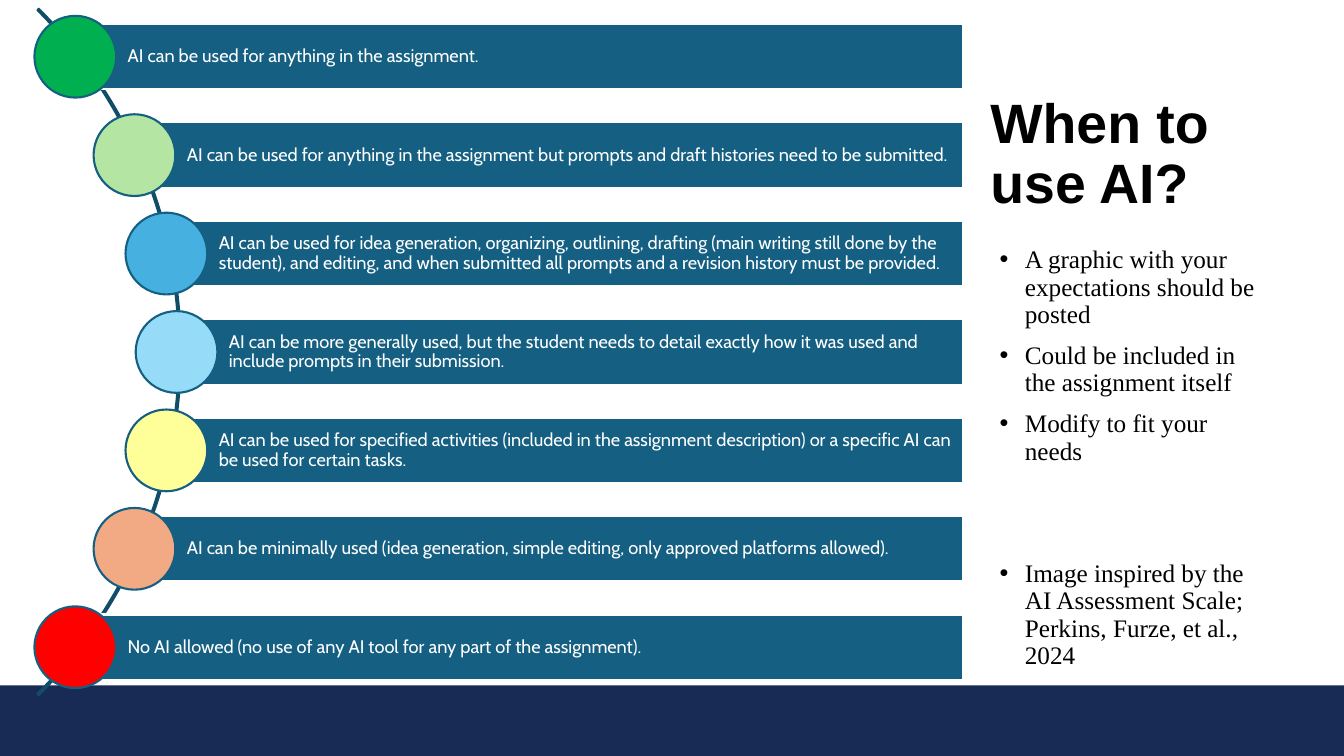
from math import sqrt

from pptx import Presentation
from pptx.dml.color import RGBColor
from pptx.enum.shapes import MSO_SHAPE
from pptx.enum.text import MSO_ANCHOR, PP_ALIGN
from pptx.oxml.ns import qn
from pptx.util import Cm, Pt
from lxml.etree import SubElement

BAR_BLUE = "156082"
ARC_X, ARC_Y = -7.67, 8.87  # centre of the arc, in cm
ARC_RADIUS = 12.23
DOT_RADIUS_ON_ARC = 12.12
PITCH = 2.48
BAR_RIGHT, BAR_HEIGHT, DOT_SIZE = 24.28, 1.65, 2.06

LEVELS = [
    ("00B050", "AI can be used for anything in the assignment."),
    ("B4E5A2", "AI can be used for anything in the assignment but prompts and "
               "draft histories need to be submitted."),
    ("46B1E1", "AI can be used for idea generation, organizing, outlining, "
               "drafting (main writing still done by the student), and editing, "
               "and when submitted all prompts and a revision history must be "
               "provided."),
    ("96DCF8", "AI can be more generally used, but the student needs to detail "
               "exactly how it was used and include prompts in their submission."),
    ("FFFF99", "AI can be used for specified activities (included in the "
               "assignment description) or a specific AI can be used for "
               "certain tasks."),
    ("F2AA84", "AI can be minimally used (idea generation, simple editing, only "
               "approved platforms allowed)."),
    ("FF0000", "No AI allowed (no use of any AI tool for any part of the "
               "assignment)."),
]

# Each note with its space before, in points
NOTES = [
    ("A graphic with your expectations should be posted", 0),
    ("Could be included in the assignment itself", 10),
    ("Modify to fit your needs", 10),
    ("Image inspired by the AI Assessment Scale; Perkins, Furze, et al., 2024", 68),
]


def color(value):
    return RGBColor.from_string(value)


def add_shape(s, kind, x, y, w, h, fill=None, line=None):
    sp = s.shapes.add_shape(kind, Cm(x), Cm(y), Cm(w), Cm(h))
    sp.shadow.inherit = False
    if fill:
        sp.fill.solid()
        sp.fill.fore_color.rgb = color(fill)
    else:
        sp.fill.background()
    if line:
        sp.line.color.rgb = color(line)
        sp.line.width = Pt(1.5)
    else:
        sp.line.fill.background()
    return sp


def format_paragraph(p, font, size, font_color, bold=False):
    p.alignment = PP_ALIGN.LEFT
    p.line_spacing = 0.9
    for r in p.runs:
        r.font.name = font
        r.font.size = Pt(size)
        r.font.bold = bold
        r.font.color.rgb = color(font_color)


def add_text_box(s, x, y, w, h, anchor):
    tf = s.shapes.add_textbox(Cm(x), Cm(y), Cm(w), Cm(h)).text_frame
    tf.word_wrap = True
    tf.vertical_anchor = anchor
    return tf


def add_bullet(p):
    pPr = p._p.get_or_add_pPr()
    pPr.set("marL", str(Cm(0.64)))
    pPr.set("indent", str(Cm(-0.64)))
    SubElement(pPr, qn("a:buFont")).set("typeface", "Arial")
    SubElement(pPr, qn("a:buChar")).set("char", "•")


def add_arc(s):
    size = 2 * ARC_RADIUS
    sp = add_shape(s, MSO_SHAPE.BLOCK_ARC, ARC_X - ARC_RADIUS,
                   ARC_Y - ARC_RADIUS, size, size, line="114D68")
    for i, value in enumerate((189, 27, 0.002)):
        sp.adjustments[i] = value


def add_level(s, step, dot_color, text):
    # The dot sits on the arc, and the bar starts at its centre
    dy = step * PITCH
    x, y = ARC_X + sqrt(DOT_RADIUS_ON_ARC ** 2 - dy ** 2), ARC_Y + dy
    bar = add_shape(s, MSO_SHAPE.RECTANGLE, x, y - BAR_HEIGHT / 2,
                    BAR_RIGHT - x, BAR_HEIGHT, BAR_BLUE, "FFFFFF")
    tf = bar.text_frame
    tf.word_wrap = True
    tf.vertical_anchor = MSO_ANCHOR.MIDDLE
    tf.margin_left = Cm(1.32)
    tf.margin_right = tf.margin_top = tf.margin_bottom = Cm(0.1)
    tf.text = text
    format_paragraph(tf.paragraphs[0], "Cabin", 13, "FFFFFF")
    add_shape(s, MSO_SHAPE.OVAL, x - DOT_SIZE / 2, y - DOT_SIZE / 2,
              DOT_SIZE, DOT_SIZE, dot_color, BAR_BLUE)


def add_title(s, text):
    tf = add_text_box(s, 24.71, 2.13, 7.24, 3.58, MSO_ANCHOR.MIDDLE)
    tf.text = text
    format_paragraph(tf.paragraphs[0], "Arial", 39.6, "000000", bold=True)


def add_notes_list(s):
    tf = add_text_box(s, 24.94, 6.1, 7.04, 11.18, MSO_ANCHOR.TOP)
    for i, (text, space) in enumerate(NOTES):
        p = tf.add_paragraph() if i else tf.paragraphs[0]
        p.text = text
        add_bullet(p)
        format_paragraph(p, "Times New Roman", 18, "000000")
        p.space_before = Pt(space)


def main():
    prs = Presentation()
    prs.slide_width, prs.slide_height = Cm(33.87), Cm(19.05)
    s = prs.slides.add_slide(prs.slide_layouts[6])

    # Footer band
    add_shape(s, MSO_SHAPE.RECTANGLE, 0, 17.27, 33.87, 1.78, "172B54")

    # Title and bullets
    add_title(s, "When to use AI?")
    add_notes_list(s)

    # Scale of AI use along the arc
    add_arc(s)
    for i, (dot_color, text) in enumerate(LEVELS):
        add_level(s, i - len(LEVELS) // 2, dot_color, text)

    prs.save("out.pptx")


if __name__ == "__main__":
    main()
